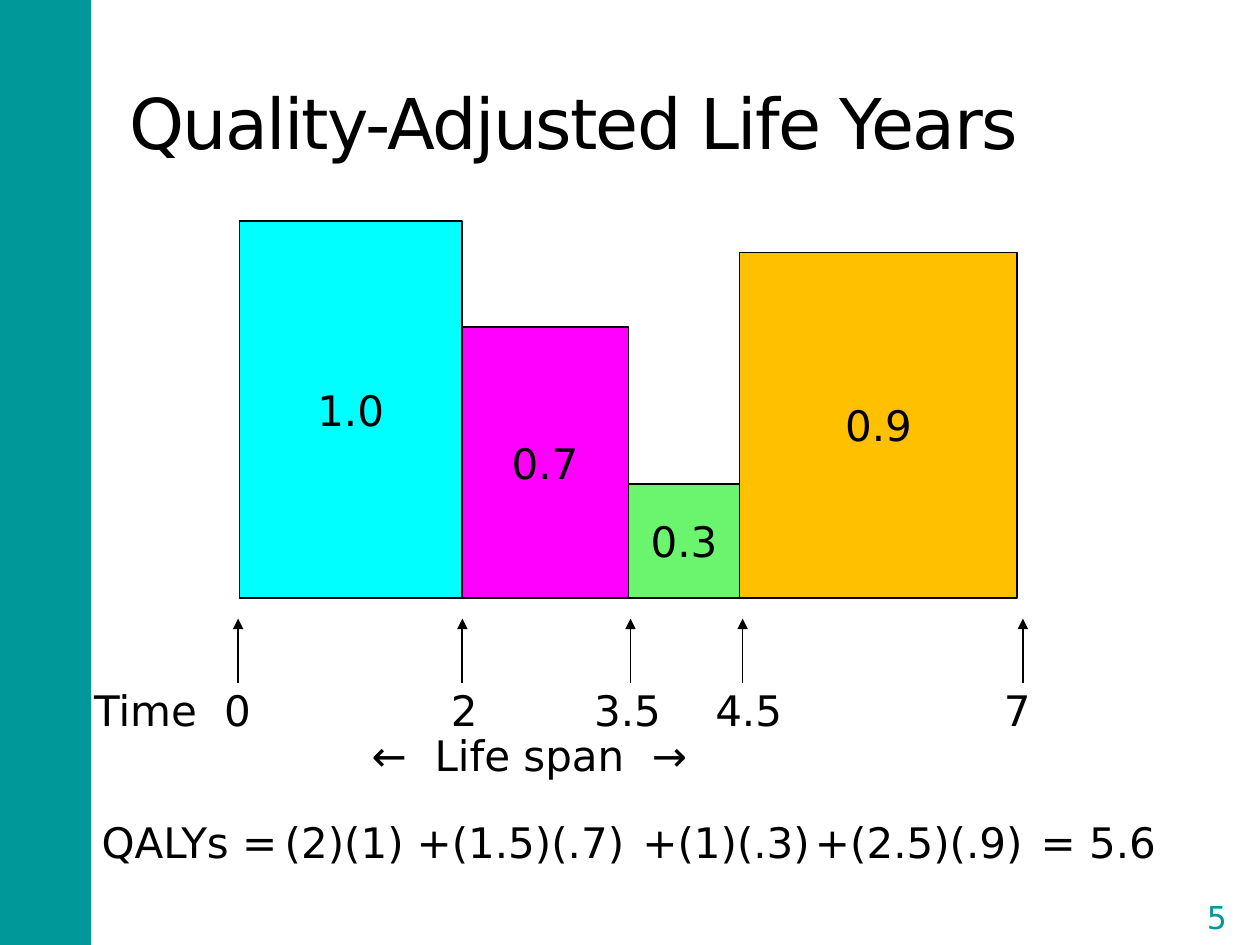
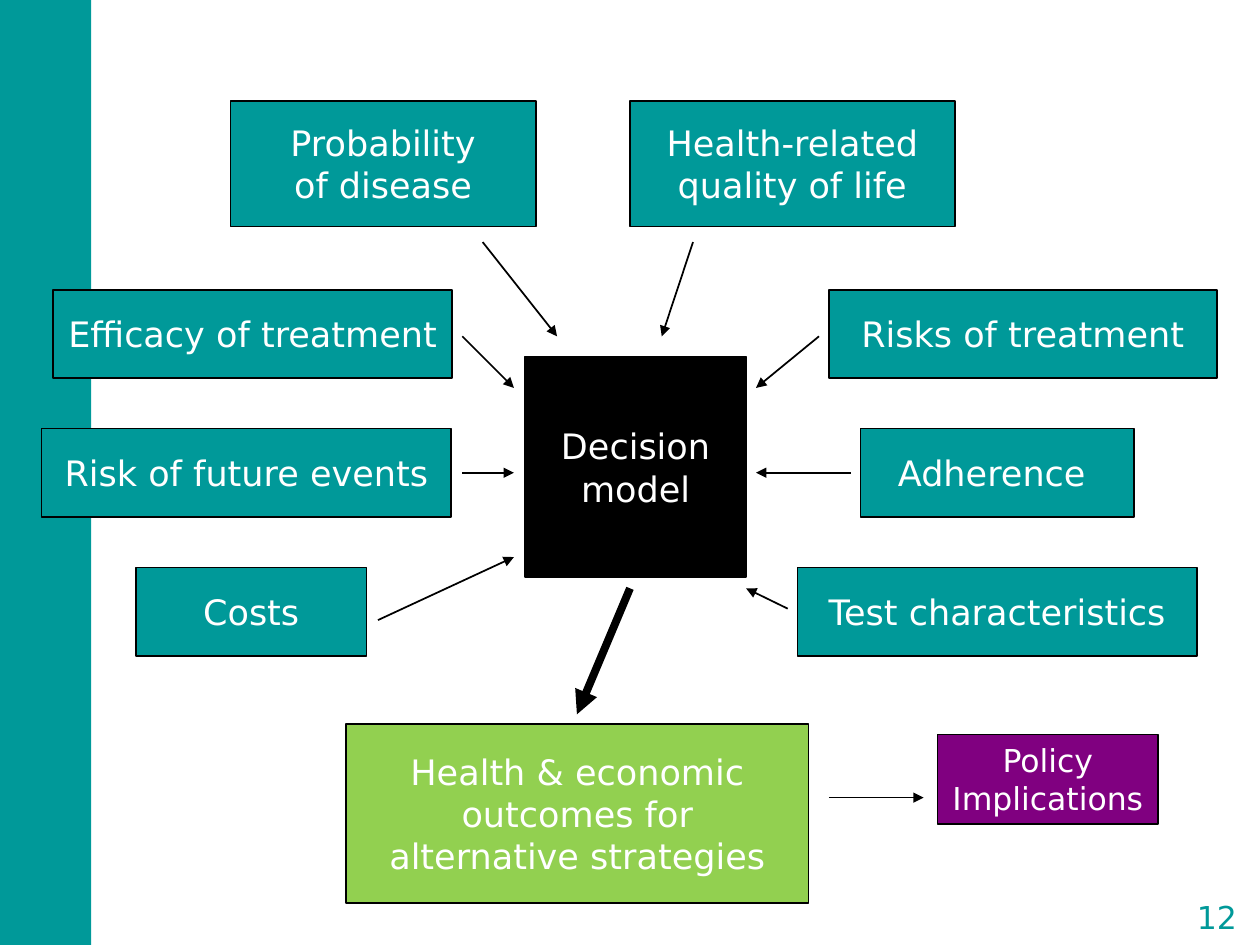
from lxml.etree import SubElement
from pptx import Presentation
from pptx.dml.color import RGBColor
from pptx.enum.shapes import MSO_CONNECTOR as CONNECTOR, MSO_SHAPE as SHAPE
from pptx.enum.text import MSO_ANCHOR as ANCHOR, PP_ALIGN as ALIGN
from pptx.oxml.ns import qn
from pptx.util import Cm, Pt

FONT = "DejaVu Sans"
COLORS = {
    "teal": "009999",
    "black": "000000",
    "white": "FFFFFF",
    "cyan": "00FFFF",
    "magenta": "FF00FF",
    "mint": "6BF46E",
    "orange": "FFC000",
    "purple": "800080",
    "lime": "92D050",
}


def rgb(name):
    return RGBColor.from_string(COLORS[name])


def write(shape, text, size, color="black", align=ALIGN.LEFT, anchor=ANCHOR.TOP,
          wrap=False, spacing=None, tabs=()):
    tf = shape.text_frame
    tf.word_wrap = wrap
    tf.vertical_anchor = anchor
    for i, line in enumerate(text.split("\n")):
        p = tf.paragraphs[0] if i == 0 else tf.add_paragraph()
        p.add_run().text = line
        p.alignment = align
        if spacing:
            p.line_spacing = spacing
        if tabs:
            tab_list = SubElement(p._p.get_or_add_pPr(), qn("a:tabLst"))
            for position in tabs:
                SubElement(tab_list, qn("a:tab"), pos=str(Cm(position)), algn="l")
        p.font.name = FONT
        p.font.size = Pt(size)
        p.font.color.rgb = rgb(color)
    return tf


def add_label(s, x, y, w, h, text, size=24, **style):
    sp = s.shapes.add_textbox(Cm(x), Cm(y), Cm(w), Cm(h))
    return write(sp, text, size, **style)


def add_title(s, text):
    tf = add_label(s, 2.36, 1.07, 20.32, 2.74, text, 40, anchor=ANCHOR.MIDDLE, wrap=True)
    tf.paragraphs[0].font._rPr.set("spc", "-100")


def add_preset(s, kind, x, y, w, h, fill=None, line=None, width=1):
    sp = s.shapes.add_shape(kind, Cm(x), Cm(y), Cm(w), Cm(h))
    sp.shadow.inherit = False
    if fill:
        sp.fill.solid()
        sp.fill.fore_color.rgb = rgb(fill)
    else:
        sp.fill.background()
    if line:
        sp.line.color.rgb = rgb(line)
        sp.line.width = Pt(width)
    else:
        sp.line.fill.background()
    return sp


def add_box(s, x, y, w, h, text, fill="teal", color="white", size=20):
    sp = add_preset(s, SHAPE.RECTANGLE, x, y, w, h, fill, "black")
    write(sp, text, size, color, ALIGN.CENTER, ANCHOR.MIDDLE)


def add_line(s, x1, y1, x2, y2, width=1, arrow=True):
    line = s.shapes.add_connector(CONNECTOR.STRAIGHT, Cm(x1), Cm(y1), Cm(x2), Cm(y2))
    line.line.color.rgb = rgb("black")
    line.line.width = Pt(width)
    if arrow:
        SubElement(line.line._get_or_add_ln(), qn("a:tailEnd"), type="triangle")
    SubElement(line._element.spPr, qn("a:effectLst"))


def add_slide(prs, number):
    s = prs.slides.add_slide(prs.slide_layouts[6])
    add_preset(s, SHAPE.RECTANGLE, 0, 0, 1.84, 19.05, "teal")
    sp = add_preset(s, SHAPE.DOUBLE_BRACKET, 23.77, 17.93, 1.52, 1.09, line="white", width=1.5)
    sp.adjustments[0] = 0.18
    tf = write(sp, str(number), 18, "teal", ALIGN.CENTER, ANCHOR.MIDDLE)
    tf.margin_left = tf.margin_right = tf.margin_top = tf.margin_bottom = 0
    return s


def build_life_years(prs):
    s = add_slide(prs, 5)
    add_title(s, "Quality-Adjusted Life Years")

    base, left, year = 12.05, 4.83, 2.24
    bars = [
        (0, 2, 7.59, "1.0", "cyan"),
        (2, 3.5, 5.46, "0.7", "magenta"),
        (3.5, 4.5, 2.29, "0.3", "mint"),
        (4.5, 7, 6.96, "0.9", "orange"),
    ]
    for start, end, height, weight, fill in bars:
        add_box(s, left + start * year, base - height, (end - start) * year, height,
                weight, fill, "black", 24)
    add_line(s, 4.88, base, 20.47, base, arrow=False)

    ticks = [(0, 4.27, 1.04), (2, 8.84, 1.04), (3.5, 11.73, 1.9), (4.5, 14.17, 1.9), (7, 19.99, 1.04)]
    for time, label_x, label_w in ticks:
        x = 4.8 + 2.26 * time
        add_line(s, x, 13.77, x, 12.47)
        add_label(s, label_x, 13.92, label_w, 1.02, str(time), spacing=0.75)
    add_label(s, 1.65, 13.92, 2.62, 1.02, "Time", spacing=0.75)
    add_label(s, 7.24, 14.58, 10.16, 1.27, "←\tLife span\t→", wrap=True, tabs=(1.27, 5.65))

    terms = [
        (1.8, 4.45, "QALYs ="),
        (5.49, 3.51, "(2)(1)"),
        (8.15, 5.21, "+(1.5)(.7)"),
        (12.7, 4.34, "+(1)(.3)"),
        (16.18, 5.26, "+(2.5)(.9)"),
        (20.73, 4.4, "= 5.6"),
    ]
    for x, w, term in terms:
        add_label(s, x, 16.33, w, 1.27, term, wrap=True)


def build_decision_model(prs):
    s = add_slide(prs, 12)
    add_box(s, 10.59, 7.19, 4.45, 4.45, "Decision\nmodel", "black")
    add_box(s, 18.9, 14.81, 4.45, 1.8, "Policy\nImplications", "purple", size=18)
    add_box(s, 6.98, 14.6, 9.32, 3.61,
            "Health & economic\noutcomes for\nalternative strategies", "lime")

    for x, w, text in [(4.65, 6.15, "Probability\nof disease"),
                       (12.7, 6.55, "Health-related\nquality of life")]:
        add_box(s, x, 2.03, w, 2.54, text)

    input_rows = [
        [(1.07, 8.05, "Efficacy of treatment"), (16.71, 7.82, "Risks of treatment")],
        [(0.84, 8.26, "Risk of future events"), (17.35, 5.51, "Adherence ")],
        [(2.74, 4.65, "Costs"), (16.08, 8.05, "Test characteristics")],
    ]
    for i, row in enumerate(input_rows):
        for x, w, text in row:
            add_box(s, x, 5.84 + 2.8 * i, w, 1.78, text)

    arrows = [
        (9.73, 4.88, 11.23, 6.78),
        (13.97, 4.88, 13.34, 6.78),
        (9.32, 6.78, 10.36, 7.82),
        (9.32, 9.53, 10.36, 9.53),
        (7.62, 12.5, 10.36, 11.23),
        (16.51, 6.78, 15.24, 7.82),
        (17.15, 9.53, 15.24, 9.53),
        (15.88, 12.27, 15.04, 11.86),
        (16.71, 16.08, 18.62, 16.08),
    ]
    for ends in arrows:
        add_line(s, *ends)
    add_line(s, 12.7, 11.86, 11.63, 14.4, width=4.5)


def main():
    prs = Presentation()
    prs.slide_width, prs.slide_height = Cm(25.4), Cm(19.05)
    build_life_years(prs)
    build_decision_model(prs)
    prs.save("out.pptx")


if __name__ == "__main__":
    main()
